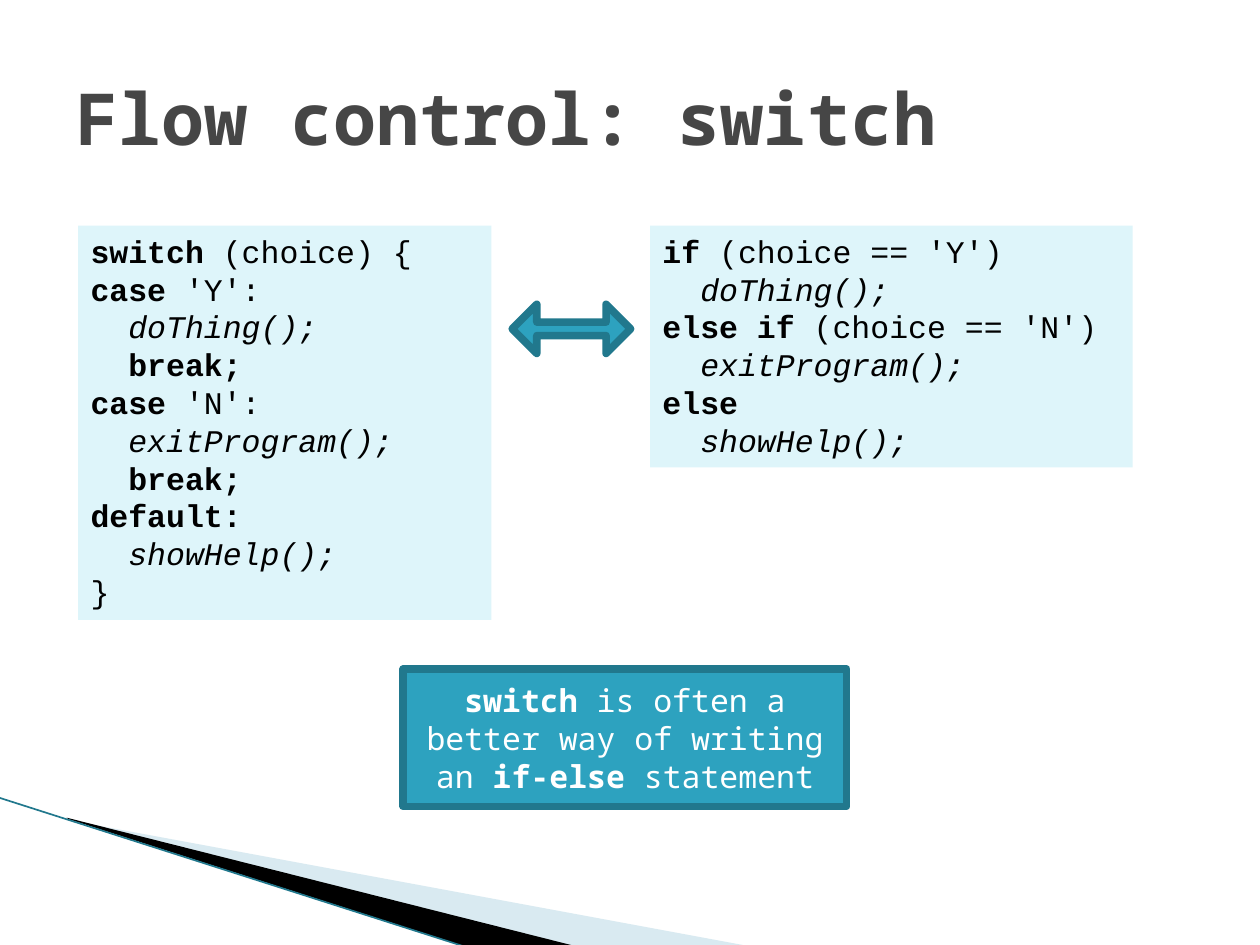
import pptx
import pptx.dml.color
import pptx.enum.shapes
import pptx.enum.text
import pptx.oxml.ns
import pptx.util
from lxml import etree
from pptx.util import Inches

SHAPES = pptx.enum.shapes.MSO_SHAPE
ANCHOR = pptx.enum.text.MSO_ANCHOR
ALIGN = pptx.enum.text.PP_ALIGN
AUTO_SIZE = pptx.enum.text.MSO_AUTO_SIZE

TEAL, DARK_TEAL, PALE = "2DA2BF", "21788D", "DEF5FA"
PLAIN, BOLD, ITALIC = "", "b", "i"


def color(hex_code):
    return pptx.dml.color.RGBColor.from_string(hex_code)


class SlideBuilder:
    code_font = "Courier New"
    text_font = "Noto Sans Mono"
    body_size = 18
    border = 4.33

    def __init__(self, slide):
        self.slide = slide

    def paint(self, shape, fill, line=None):
        shape.shadow.inherit = False
        shape.fill.solid()
        shape.fill.fore_color.rgb = color(fill)
        if line:
            shape.line.color.rgb = color(line)
            shape.line.width = pptx.util.Pt(self.border)
        else:
            shape.line.fill.background()

    def shape(self, kind, place, fill, line=None):
        shape = self.slide.shapes.add_shape(kind, *map(Inches, place))
        self.paint(shape, fill, line)
        return shape

    def add_text(self, box, lines, font, size, ink, align=ALIGN.LEFT, anchor=ANCHOR.TOP):
        frame = box.text_frame
        frame.word_wrap = True
        frame.vertical_anchor = anchor
        for index, spans in enumerate(lines):
            para = frame.add_paragraph() if index else frame.paragraphs[0]
            para.alignment = align
            for text, style in spans:
                span = para.add_run()
                span.text = text
                span.font.name = font
                span.font.size = pptx.util.Pt(size)
                span.font.bold = style == BOLD
                span.font.italic = style == ITALIC
                span.font.color.rgb = color(ink)

    def title(self, text, place):
        box = self.slide.shapes.add_textbox(*map(Inches, place))
        self.add_text(box, [[(text, BOLD)]], self.text_font, 41, "464646",
                      anchor=ANCHOR.MIDDLE)

    def code(self, lines, place):
        box = self.shape(SHAPES.RECTANGLE, place, PALE)
        self.add_text(box, lines, self.code_font, self.body_size, "000000")
        box.text_frame.auto_size = AUTO_SIZE.SHAPE_TO_FIT_TEXT

    def callout(self, spans, place):
        box = self.shape(SHAPES.RECTANGLE, place, TEAL, DARK_TEAL)
        self.add_text(box, [spans], self.text_font, self.body_size, "FFFFFF",
                      ALIGN.CENTER, ANCHOR.MIDDLE)

    def double_arrow(self, place):
        arrow = self.shape(SHAPES.UP_DOWN_ARROW, place, TEAL, DARK_TEAL)
        arrow.rotation = 90
        arrow.adjustments[0] = 0.32
        arrow.adjustments[1] = 0.275

    def wedge(self, points, fill, opacity=None):
        start, *rest = [(Inches(x), Inches(y)) for x, y in points]
        builder = self.slide.shapes.build_freeform(*start)
        builder.add_line_segments(rest, close=True)
        wedge = builder.convert_to_shape()
        self.paint(wedge, fill)
        if opacity:
            tint = wedge._element.spPr.find(".//" + pptx.oxml.ns.qn("a:srgbClr"))
            etree.SubElement(tint, pptx.oxml.ns.qn("a:alpha"), val=str(opacity * 1000))

    def line(self, start, end, ink, width):
        line = self.slide.shapes.add_connector(
            pptx.enum.shapes.MSO_CONNECTOR.STRAIGHT, *map(Inches, start + end))
        line.line.color.rgb = color(ink)
        line.line.width = pptx.util.Pt(width)
        etree.SubElement(line._element.spPr, pptx.oxml.ns.qn("a:effectLst"))


def action(call):
    return [("  ", PLAIN), (call, ITALIC)]


def main():
    deck = pptx.Presentation()
    deck.slide_width, deck.slide_height = Inches(10), Inches(7.5)
    page = SlideBuilder(deck.slides.add_slide(deck.slide_layouts[6]))

    # Corner decoration
    page.wedge([(0.55, 6.51), (5.95, 7.51), (4.56, 7.51), (0.55, 6.5)], "A0CBDC", 40)
    page.wedge([(0.53, 6.49), (4.57, 7.51), (3.72, 7.52), (0.54, 6.5)], "000000")
    page.line((-0.01, 6.33), (3.71, 7.52), DARK_TEAL, 0.95)

    page.title("Flow control: switch", (0.5, 0.3, 9, 1.25))

    # Switch statement
    stop = [("  ", PLAIN), ("break;", BOLD)]
    page.code([
        [("switch ", BOLD), ("(choice) {", PLAIN)],
        [("case", BOLD), (" 'Y':", PLAIN)],
        action("doThing();"),
        stop,
        [("case ", BOLD), ("'N':", PLAIN)],
        action("exitProgram();"),
        stop,
        [("default:", BOLD)],
        action("showHelp();"),
        [("}", PLAIN)],
    ], (0.62, 1.79, 3.28, 3.13))

    # Takeaway
    page.callout([
        ("switch ", BOLD), ("is often a better way of writing an ", PLAIN),
        ("if-else ", BOLD), ("statement", PLAIN),
    ], (3.2, 5.31, 3.52, 1.09))

    # Equivalent if-else chain
    page.code([
        [("if ", BOLD), ("(choice == 'Y')", PLAIN)],
        action("doThing();"),
        [("else if ", BOLD), ("(choice == 'N')", PLAIN)],
        action("exitProgram();"),
        [("else", BOLD)],
        action("showHelp();"),
    ], (5.16, 1.79, 3.83, 1.92))

    page.double_arrow((4.34, 2.14, 0.39, 0.94))

    deck.save("out.pptx")


if __name__ == "__main__":
    main()
